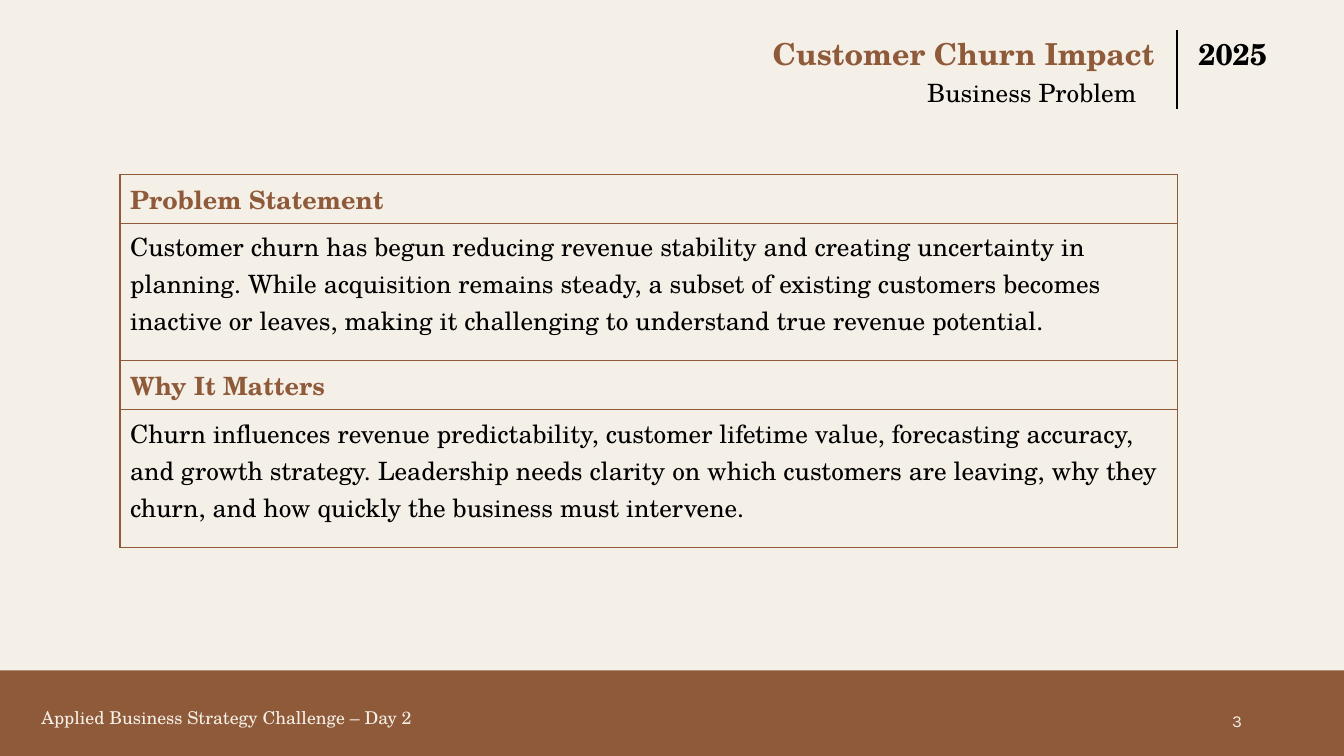
from dataclasses import dataclass

from lxml.etree import SubElement
from pptx import Presentation
from pptx.dml.color import RGBColor as RGB
from pptx.enum.shapes import MSO_CONNECTOR as CONN, MSO_SHAPE as SHAPE
from pptx.enum.text import MSO_ANCHOR as ANCHOR, MSO_AUTO_SIZE as FIT, PP_ALIGN as ALIGN
from pptx.oxml.ns import qn
from pptx.util import Inches, Pt


@dataclass(frozen=True)
class Theme:
    cream: str = "F5F0E7"
    brown: str = "8F5A3A"
    black: str = "000000"
    serif: str = "TeX Gyre Schola"
    sans: str = "Karla"
    title: float = 21.6
    year: float = 21.4
    body: float = 18
    footer: float = 12.6
    number: float = 12
    rule: float = 1.5
    border: float = 1


class Deck:
    """Places elements on a grid of 100 columns by 100 rows."""

    def __init__(self, theme):
        self.theme = theme
        self.prs = Presentation()
        self.prs.slide_width, self.prs.slide_height = Inches(13.33), Inches(7.5)
        self.s = None

    def add_slide(self):
        self.s = self.prs.slides.add_slide(self.prs.slide_layouts[6])
        fill = self.s.background.fill
        fill.solid()
        fill.fore_color.rgb = RGB.from_string(self.theme.cream)

    def grid(self, *lengths):
        """Turn alternating column and row counts into slide units."""
        sides = self.prs.slide_width, self.prs.slide_height
        return [round(n * sides[i % 2] / 100) for i, n in enumerate(lengths)]

    def fill_text(self, tf, text, size, color, bold=False, font=None, **para):
        p = tf.paragraphs[0]
        for name, value in para.items():
            setattr(p, name, value)
        r = p.add_run()
        r.text = text
        look = {"name": font or self.theme.serif, "size": Pt(size), "bold": bold}
        for name, value in look.items():
            setattr(r.font, name, value)
        r.font.color.rgb = RGB.from_string(color)

    def text(self, box, text, size, color, frame=None, **style):
        tf = self.s.shapes.add_textbox(*self.grid(*box)).text_frame
        for name, value in {"word_wrap": True, **(frame or {})}.items():
            setattr(tf, name, value)
        self.fill_text(tf, text, size, color, **style)

    def band(self, box, color):
        sp = self.s.shapes.add_shape(SHAPE.RECTANGLE, *self.grid(*box))
        sp.shadow.inherit = False
        sp.fill.solid()
        sp.fill.fore_color.rgb = RGB.from_string(color)
        sp.line.fill.background()

    def rule(self, ends, color, width):
        line = self.s.shapes.add_connector(CONN.STRAIGHT, *self.grid(*ends))
        line.line.color.rgb = RGB.from_string(color)
        line.line.width = Pt(width)
        SubElement(line._element.spPr, qn("a:effectLst"))

    def border(self, cell):
        tc_pr = cell._tc.get_or_add_tcPr()
        for side in ("lnL", "lnR", "lnT", "lnB"):
            ln = SubElement(tc_pr, qn(f"a:{side}"), w=str(Pt(self.theme.border)))
            SubElement(SubElement(ln, qn("a:solidFill")), qn("a:srgbClr"), val=self.theme.brown)

    def sections(self, corner, width, heights, sections):
        """One-column table with a heading row and a body row per section."""
        t = self.theme
        head, body = heights
        box = self.grid(*corner, width, (head + body) * len(sections))
        table = self.s.shapes.add_table(2 * len(sections), 1, *box).table
        table.first_row = table.horz_banding = False
        rows = [row for heading, detail in sections
                for row in ((heading, head, t.brown, True), (detail, body, t.black, False))]
        for i, (text, height, color, bold) in enumerate(rows):
            table.rows[i].height = self.grid(0, height)[1]
            cell = table.cell(i, 0)
            self.border(cell)
            cell.fill.background()
            self.fill_text(cell.text_frame, text, t.body, color, bold)


SECTIONS = [
    ("Problem Statement",
     "Customer churn has begun reducing revenue stability and creating uncertainty in "
     "planning. While acquisition remains steady, a subset of existing customers becomes "
     "inactive or leaves, making it challenging to understand true revenue potential."),
    ("Why It Matters",
     "Churn influences revenue predictability, customer lifetime value, forecasting accuracy, "
     "and growth strategy. Leadership needs clarity on which customers are leaving, why they "
     "churn, and how quickly the business must intervene."),
]


def main():
    t = Theme()
    deck = Deck(t)
    deck.add_slide()
    bottom = {"vertical_anchor": ANCHOR.BOTTOM}

    deck.band((-0.53, 88.67, 100.53, 11.6), t.brown)
    deck.text((70.65, 92.67, 22.5, 5.33), "3", t.number, t.cream,
              {"vertical_anchor": ANCHOR.MIDDLE}, font=t.sans, alignment=ALIGN.RIGHT)
    deck.text((0.6, 91.6, 32.48, 5.33), "Applied Business Strategy Challenge – Day 2",
              t.footer, t.cream, bottom, alignment=ALIGN.CENTER, line_spacing=0.7)

    deck.sections((8.93, 23.07), 78.68, (6.47, 18.2), SECTIONS)

    deck.text((54.98, 4, 33.45, 6.13), "Customer Churn Impact", t.title, t.brown, bottom,
              bold=True, alignment=ALIGN.CENTER, line_spacing=0.9)
    deck.rule((87.6, 4, 87.6, 14.4), t.black, t.rule)
    deck.text((88.43, 4, 6.9, 6.13), "2025", t.year, t.black, bottom,
              bold=True, line_spacing=0.9)
    deck.text((68.25, 9.6, 19.05, 5.33), "Business Problem", t.body, t.black,
              {"auto_size": FIT.SHAPE_TO_FIT_TEXT})

    deck.prs.save("out.pptx")


if __name__ == "__main__":
    main()
